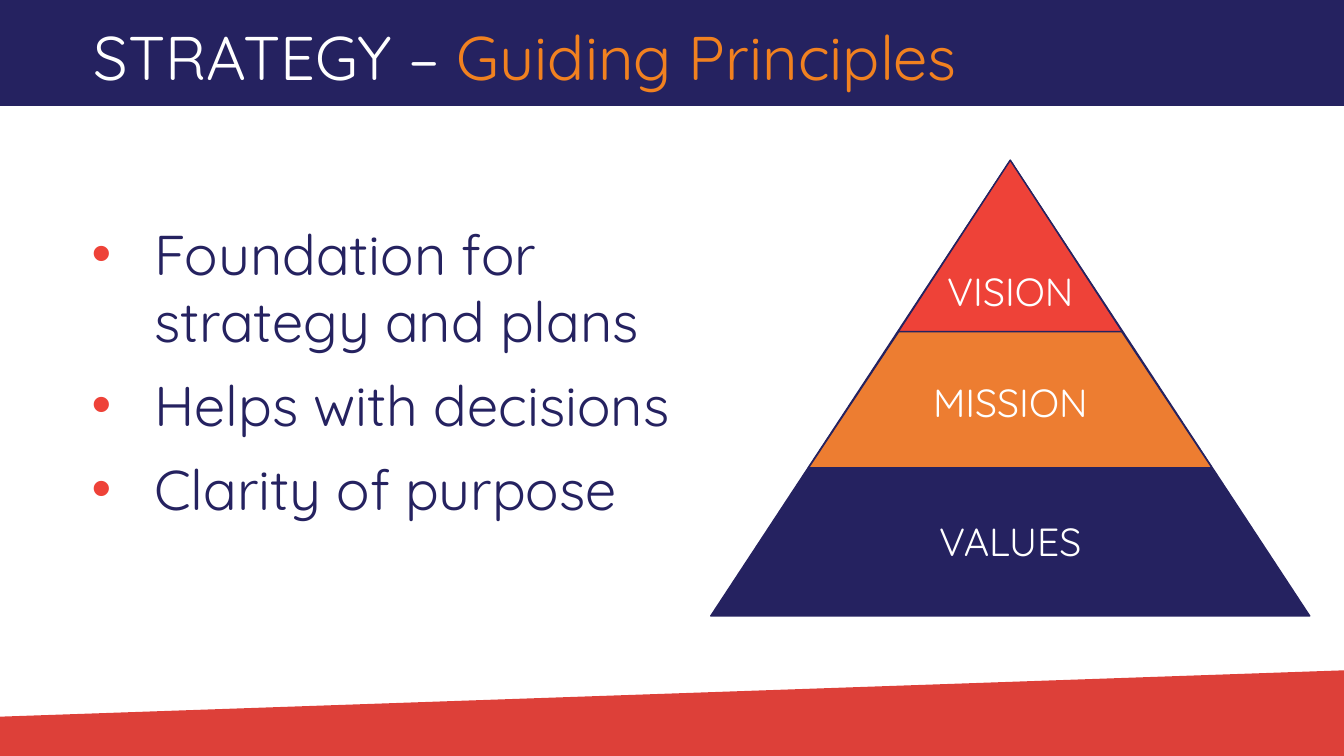
"""Build the Guiding Principles strategy slide with its three-level pyramid."""
from lxml import etree
from pptx import Presentation
from pptx.dml.color import RGBColor
from pptx.enum.shapes import MSO_SHAPE
from pptx.enum.text import PP_ALIGN
from pptx.oxml.ns import qn
from pptx.util import Inches, Pt

RECT, TRIANGLE = MSO_SHAPE.RECTANGLE, MSO_SHAPE.ISOSCELES_TRIANGLE
LEFT, CENTER = PP_ALIGN.LEFT, PP_ALIGN.CENTER
COLORS = {"navy": "252260", "orange": "ED7D31", "red": "EE4238",
          "footer": "DD4039", "accent": "F18120", "white": "FFFFFF"}
FONT = "Quicksand"
W, H = 13.33, 7.5

TITLE = [("STRATEGY – ", "white"), ("Guiding Principles", "accent")]
BULLETS = ["Foundation for strategy and plans", "Helps with decisions", "Clarity of purpose"]
AXIS = 10.02
LEVELS = [
    ("VALUES", "navy", 1.59, 5.94, 4.52, 5.08),
    ("MISSION", "orange", 1.62, 4.0, 3.02, 3.7),
    ("VISION", "red", 1.59, 2.22, 1.7, 2.6),
]
LABEL_W, LABEL_H = 1.97, 0.55
FOOTER = [(0, 7.11), (W, 6.65), (W, H), (0, H)]


def rgb(name):
    return RGBColor.from_string(COLORS[name])


def paint(sp, color, outline=None):
    sp.shadow.inherit = False
    sp.fill.solid()
    sp.fill.fore_color.rgb = rgb(color)
    if outline:
        sp.line.color.rgb = rgb(outline)
        sp.line.width = Pt(1)
    else:
        sp.line.fill.background()


def add_shape(slide, kind, box, color, outline=None):
    sp = slide.shapes.add_shape(kind, *map(Inches, box))
    paint(sp, color, outline)


def add_bullet(p):
    pPr = p._p.get_or_add_pPr()
    pPr.set("marL", str(Inches(1.12)))
    pPr.set("indent", str(Inches(-0.62)))
    clr = etree.SubElement(pPr, qn("a:buClr"))
    etree.SubElement(clr, qn("a:srgbClr"), val=COLORS["red"])
    etree.SubElement(pPr, qn("a:buFont"), typeface="Arial")
    etree.SubElement(pPr, qn("a:buChar"), char="•")


def add_text(slide, box, paragraphs, size, align=LEFT, bullet=False):
    tf = slide.shapes.add_textbox(*map(Inches, box)).text_frame
    tf.word_wrap = True
    for i, runs in enumerate(paragraphs):
        p = tf.add_paragraph() if i else tf.paragraphs[0]
        p.alignment = align
        if bullet:
            add_bullet(p)
            p.space_after = Pt(12)
        for text, color in runs:
            r = p.add_run()
            r.text = text
            for key, value in {"name": FONT, "size": Pt(size)}.items():
                setattr(r.font, key, value)
            r.font.color.rgb = rgb(color)


def main():
    prs = Presentation()
    prs.slide_width, prs.slide_height = Inches(W), Inches(H)
    slide = prs.slides.add_slide(prs.slide_layouts[6])

    start, *rest = [(Inches(x), Inches(y)) for x, y in FOOTER]
    fb = slide.shapes.build_freeform(*start)
    fb.add_line_segments(rest, close=True)
    paint(fb.convert_to_shape(), "footer")

    add_shape(slide, RECT, (0, 0, W, 0.14 * H), "navy")
    add_text(slide, (0.83, 0.14, 10.49, 1.14), [TITLE], 44)

    for _, color, top, width, height, _ in LEVELS:
        add_shape(slide, TRIANGLE, (AXIS - width / 2, top, width, height), color, "navy")
    for label, _, _, _, _, top in LEVELS:
        box = (AXIS - LABEL_W / 2, top, LABEL_W, LABEL_H)
        add_text(slide, box, [[(label, "white")]], 28, CENTER)

    add_text(slide, (0.31, 2.13, 6.75, 3.13), [[(b, "navy")] for b in BULLETS], 40, bullet=True)
    prs.save("out.pptx")


if __name__ == "__main__":
    main()
